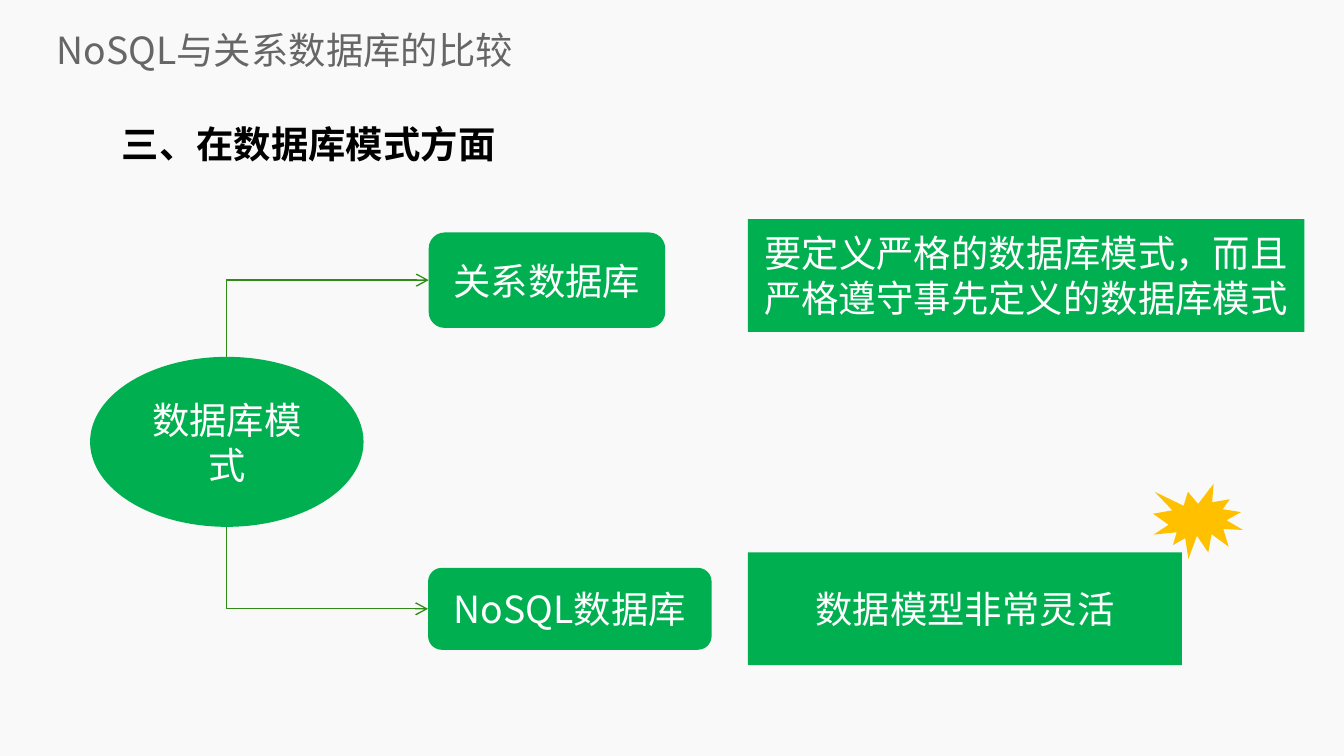
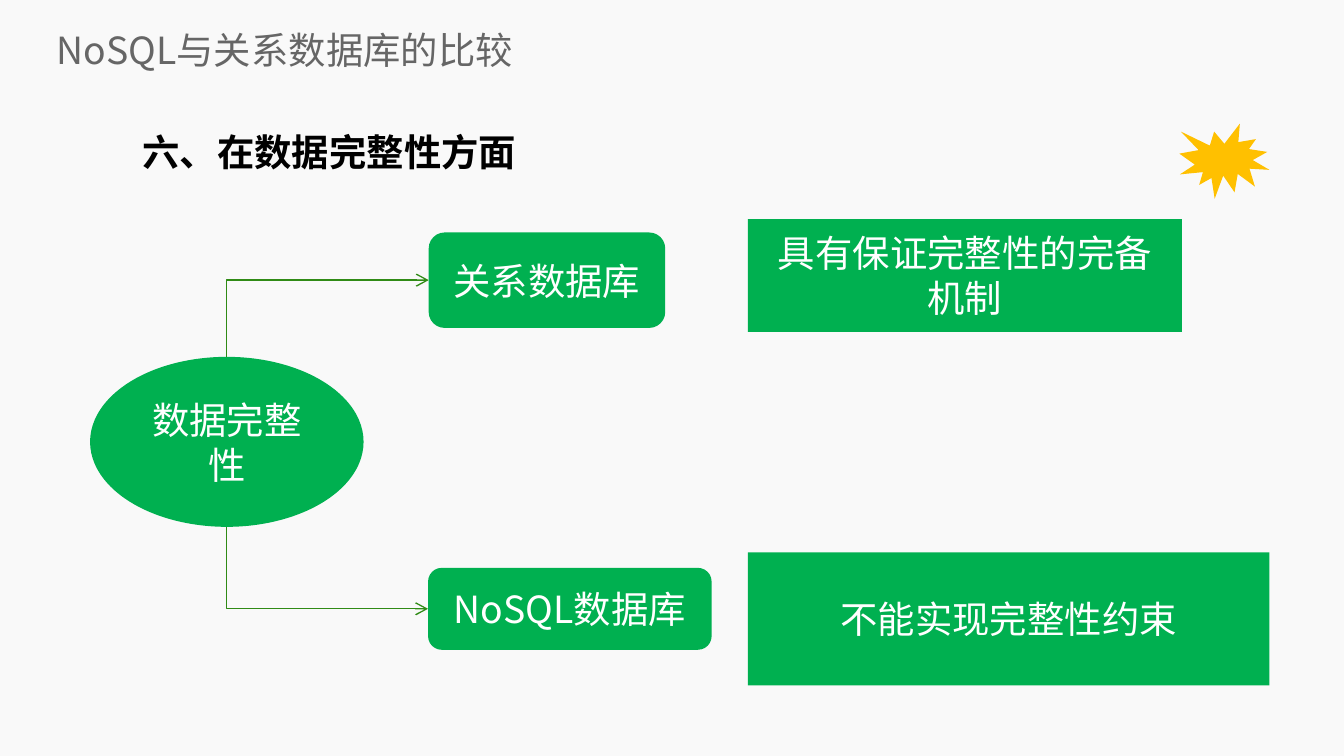
from dataclasses import dataclass

from lxml.etree import SubElement
from pptx import Presentation
from pptx.dml.color import RGBColor
from pptx.enum.shapes import MSO_CONNECTOR, MSO_SHAPE
from pptx.enum.text import MSO_ANCHOR, PP_ALIGN
from pptx.oxml.ns import qn
from pptx.shapes.autoshape import Shape
from pptx.slide import Slide
from pptx.text.text import TextFrame
from pptx.util import Pt

PX = 4572
FONT = "Noto Sans CJK SC"
COLOURS = {
    "background": "F9F9F9",
    "title": "666666",
    "heading": "000000",
    "box": "00B050",
    "box_text": "FFFFFF",
    "arrow": "308B16",
    "star": "FFC000",
}
TITLE = "NoSQL与关系数据库的比较"


@dataclass(frozen=True)
class Area:
    """A rectangle in px."""

    left: int
    top: int
    width: int
    height: int

    def emu(self) -> tuple[int, int, int, int]:
        """Return the rectangle in EMU."""
        return self.left * PX, self.top * PX, self.width * PX, self.height * PX


@dataclass(frozen=True)
class Box:
    """A filled shape with centred text."""

    area: Area
    text: str = ""
    kind: MSO_SHAPE = MSO_SHAPE.RECTANGLE
    fill: str = "box"


@dataclass(frozen=True)
class Comparison:
    """The parts that differ from slide to slide."""

    heading: str
    heading_area: Area
    topic: str
    relational: Box
    nosql: Box
    star_left: int
    star_top: int


TITLE_AREA = Area(84, 36, 1886, 76)
TOPIC_AREA = Area(134, 531, 407, 253)
RELATIONAL = Box(Area(638, 346, 352, 142), "关系数据库", MSO_SHAPE.ROUNDED_RECTANGLE)
NOSQL = Box(Area(637, 845, 422, 122), "NoSQL数据库", MSO_SHAPE.ROUNDED_RECTANGLE)

COMPARISONS = [
    Comparison(
        heading="三、在数据库模式方面",
        heading_area=Area(181, 154, 1498, 754),
        topic="数据库模式",
        relational=Box(Area(1113, 326, 828, 168), "要定义严格的数据库模式，而且严格遵守事先定义的数据库模式"),
        nosql=Box(Area(1113, 822, 646, 168), "数据模型非常灵活"),
        star_left=1716,
        star_top=720,
    ),
    Comparison(
        heading="六、在数据完整性方面",
        heading_area=Area(212, 166, 1498, 130),
        topic="数据完整性",
        relational=Box(Area(1113, 326, 646, 168), "具有保证完整性的完备机制"),
        nosql=Box(Area(1113, 822, 776, 198), "不能实现完整性约束"),
        star_left=1755,
        star_top=184,
    ),
]


def colour(name: str) -> RGBColor:
    """Look up a named colour."""
    return RGBColor.from_string(COLOURS[name])


def write(
    frame: TextFrame,
    text: str,
    *,
    ink: str,
    bold: bool = False,
    align: PP_ALIGN = PP_ALIGN.LEFT,
    anchor: MSO_ANCHOR = MSO_ANCHOR.MIDDLE,
    spacing: float = 1.0,
) -> None:
    """Put one formatted paragraph in a text frame."""
    frame.word_wrap = True
    frame.vertical_anchor = anchor
    para = frame.paragraphs[0]
    para.alignment = align
    para.line_spacing = spacing
    span = para.add_run()
    span.text = text
    span.font.name = FONT
    span.font.size = Pt(20)
    span.font.bold = bold
    span.font.color.rgb = colour(ink)
    SubElement(span.font._element, qn("a:ea"), typeface=FONT)


def add_label(slide: Slide, area: Area, text: str, **style) -> None:
    """Add a text box without insets."""
    frame = slide.shapes.add_textbox(*area.emu()).text_frame
    frame.margin_left = frame.margin_right = frame.margin_top = frame.margin_bottom = 0
    write(frame, text, **style)


def add_box(slide: Slide, box: Box) -> Shape:
    """Draw a filled shape and its text, if any."""
    shape = slide.shapes.add_shape(box.kind, *box.area.emu())
    shape.shadow.inherit = False
    shape.fill.solid()
    shape.fill.fore_color.rgb = colour(box.fill)
    shape.line.fill.background()
    if box.text:
        write(shape.text_frame, box.text, ink="box_text", align=PP_ALIGN.CENTER)
    return shape


def add_branch(slide: Slide, topic: Shape, target: Shape) -> None:
    """Draw an arrow that leaves the topic vertically and enters the target's left side."""
    start_x = topic.left + topic.width // 2
    end_y = target.top + target.height // 2
    upward = end_y < topic.top
    start_y = topic.top if upward else topic.top + topic.height
    branch = slide.shapes.add_connector(
        MSO_CONNECTOR.ELBOW, start_x, start_y, target.left, end_y
    )
    run, rise = target.left - start_x, abs(end_y - start_y)
    branch.left = start_x + (run - rise) // 2
    branch.top = (start_y + end_y - run) // 2
    branch.width, branch.height = rise, run

    properties = branch._element.spPr
    transform = properties.find(qn("a:xfrm"))
    transform.set("rot", str((90 if upward else 270) * 60000))
    transform.set("flipH", "1")
    transform.set("flipV", "1" if upward else "0")
    properties.find(qn("a:prstGeom")).set("prst", "bentConnector2")

    branch.line.color.rgb = colour("arrow")
    branch.line.width = Pt(0.75)
    SubElement(properties.find(qn("a:ln")), qn("a:tailEnd"), type="arrow")
    SubElement(properties, qn("a:effectLst"))


def add_comparison(slide: Slide, comparison: Comparison) -> None:
    """Lay out one comparison slide."""
    slide.background.fill.solid()
    slide.background.fill.fore_color.rgb = colour("background")
    add_label(slide, TITLE_AREA, TITLE, ink="title")
    add_label(
        slide,
        comparison.heading_area,
        comparison.heading,
        ink="heading",
        bold=True,
        anchor=MSO_ANCHOR.TOP,
        spacing=1.4,
    )
    topic = add_box(slide, Box(TOPIC_AREA, comparison.topic, MSO_SHAPE.OVAL))
    targets = [add_box(slide, box) for box in (RELATIONAL, NOSQL)]
    for target in targets:
        add_branch(slide, topic, target)
    star_area = Area(comparison.star_left, comparison.star_top, 134, 112)
    star = Box(star_area, kind=MSO_SHAPE.EXPLOSION1, fill="star")
    for box in (comparison.relational, comparison.nosql, star):
        add_box(slide, box)


def main() -> None:
    """Build and save the deck."""
    deck = Presentation()
    deck.slide_width, deck.slide_height = 2000 * PX, 1125 * PX
    for comparison in COMPARISONS:
        page = deck.slides.add_slide(deck.slide_layouts[6])
        add_comparison(page, comparison)
    deck.save("out.pptx")


if __name__ == "__main__":
    main()
